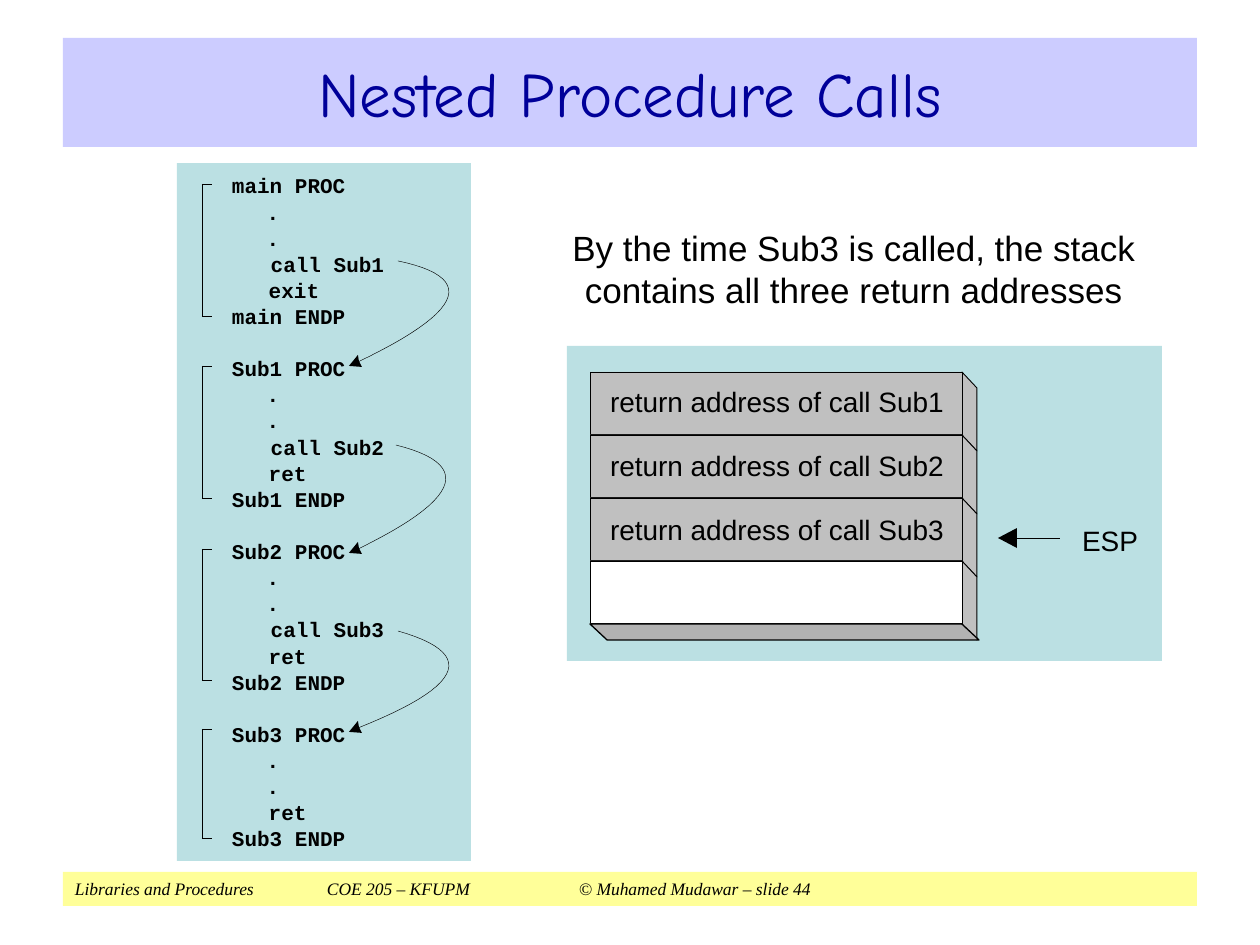
import lxml.etree
import pptx
import pptx.dml.color
import pptx.enum.shapes
import pptx.enum.text
import pptx.oxml.ns
import pptx.util
from dataclasses import dataclass

SCALE = 914400 / 126
KIND = pptx.enum.shapes.MSO_SHAPE
ALIGN = pptx.enum.text.PP_ALIGN
MIDDLE = pptx.enum.text.MSO_ANCHOR.MIDDLE


@dataclass(frozen=True)
class Theme:
    ink: str = "000000"
    white: str = "FFFFFF"
    navy: str = "000099"
    lilac: str = "CCCCFF"
    cream: str = "FFFF99"
    teal: str = "BBE0E3"
    gray: str = "C0C0C0"
    dark: str = "B2B2B2"
    thin: float = 0.25
    edge: float = 0.5
    bold: float = 0.75


THEME = Theme()
TITLE = dict(name="Comic Neue", size=36, color=THEME.navy)
BODY = dict(name="Arial", size=20)
LABEL = dict(name="Arial", size=16)
CODE = dict(name="Courier New", size=12, bold=True)
FOOT = dict(name="Times New Roman", size=10, italic=True)


def px(num):
    return pptx.util.Emu(round(num * SCALE))


def rgb(code):
    return pptx.dml.color.RGBColor.from_string(code)


def apply(item, vals):
    for key, val in vals.items():
        setattr(item, key, val)


def paint(shape, fill=None, width=None):
    shape.shadow.inherit = False
    if fill:
        shape.fill.solid()
        shape.fill.fore_color.rgb = rgb(fill)
    else:
        shape.fill.background()
    if width:
        shape.line.color.rgb = rgb(THEME.ink)
        shape.line.width = pptx.util.Pt(width)
    else:
        shape.line.fill.background()


def block(slide, area, fill, width=None, kind=KIND.RECTANGLE):
    shape = slide.shapes.add_shape(kind, *map(px, area))
    paint(shape, fill, width)
    return shape


def write(shape, text, style, pad=(0, 0), wrap=False, align=ALIGN.CENTER,
          anchor=pptx.enum.text.MSO_ANCHOR.TOP, tabs=()):
    side, rise = map(px, pad)
    frame = shape.text_frame
    apply(frame, dict(margin_left=side, margin_right=side, margin_top=rise,
                      margin_bottom=rise, word_wrap=wrap,
                      vertical_anchor=anchor))
    para = frame.paragraphs[0]
    para.alignment = align
    if tabs:
        qn = pptx.oxml.ns.qn
        stops = lxml.etree.SubElement(para._p.get_or_add_pPr(), qn("a:tabLst"))
        for stop in tabs:
            lxml.etree.SubElement(stops, qn("a:tab"), pos=str(px(stop)), algn="l")
    run = para.add_run()
    run.text = text
    look = {"color": THEME.ink, **style}
    run.font.color.rgb = rgb(look.pop("color"))
    look["size"] = pptx.util.Pt(look["size"])
    apply(run.font, look)


def label(slide, area, text, style, **form):
    write(slide.shapes.add_textbox(*map(px, area)), text, style, **form)


def line(slide, start, end, width):
    wire = slide.shapes.add_connector(
        pptx.enum.shapes.MSO_CONNECTOR.STRAIGHT, *map(px, start + end))
    wire.line.color.rgb = rgb(THEME.ink)
    wire.line.width = pptx.util.Pt(width)
    lxml.etree.SubElement(wire._element.spPr, pptx.oxml.ns.qn("a:effectLst"))


def outline(slide, dots, fill=None, width=None):
    first, *rest = [(px(x), px(y)) for x, y in dots]
    pen = slide.shapes.build_freeform(*first, scale=1.0)
    pen.add_line_segments(rest, close=bool(fill))
    paint(pen.convert_to_shape(), fill, width)


def bend(slide, start, pull, end, tip):
    steps = [n / 25 for n in range(26)]
    dots = [tuple((1 - t) ** 2 * a + 2 * t * (1 - t) * b + t * t * c
                  for a, b, c in zip(start, pull, end)) for t in steps]
    outline(slide, dots, width=THEME.thin)
    x, y = tip
    head = [(0, 0), (13, 1), (10, -5), (9, -11)]
    outline(slide, [(x + dx, y + dy) for dx, dy in head], fill=THEME.ink)


def brace(slide, top, low):
    line(slide, (202, top), (202, low), THEME.thin)
    for y in (top, low):
        line(slide, (202, y), (212, y), THEME.thin)


def code(slide):
    block(slide, (177, 163, 294, 698), THEME.teal)
    procs = [("main", "call Sub1", "exit"), ("Sub1", "call Sub2", "ret"),
             ("Sub2", "call Sub3", "ret"), ("Sub3", "ret")]
    row = 0
    for name, *body in procs:
        lines = [(232, f"{name} PROC"), (229, "   ."), (229, "   .")]
        lines += [(233 if "call" in text else 231, f"   {text}") for text in body]
        lines.append((232, f"{name} ENDP"))
        for left, text in lines:
            area = (left, 173 + row * 653 / 25, len(text) * 12.6, 25)
            label(slide, area, text, CODE)
            row += 1
        row += 1
    for start, pull, end, tip in [
        ((398, 261), (517, 286), (358, 362), (349, 366)),
        ((396, 445), (512, 474), (358, 549), (349, 553)),
        ((398, 631), (517, 665), (358, 728), (349, 732)),
    ]:
        bend(slide, start, pull, end, tip)
    for top, low in [(184, 316), (366, 498), (549, 680), (729, 838)]:
        brace(slide, top, low)


def stack(slide):
    block(slide, (567, 346, 595, 315), THEME.teal)
    left, top, wide, high = 590, 372, 372, 63
    right, deep, drop = left + wide, 15, 16
    for num in range(4):
        y = top + num * high
        side = [(right + deep, y + high + drop), (right, y + high),
                (right, y), (right + deep, y + drop)]
        outline(slide, side, THEME.gray, THEME.edge)
        fill = THEME.gray if num < 3 else THEME.white
        block(slide, (left, y, wide, high), fill, THEME.edge)
        if num < 3:
            label(slide, (605, 385 + 64 * num, 344, 34),
                  f"return address of call Sub{num + 1}", LABEL)
    base = block(slide, (left, top + 4 * high, 389, drop), THEME.dark,
                 THEME.bold, KIND.PARALLELOGRAM)
    base.adjustments[0] = 1.07
    base._element.spPr.xfrm.set("flipV", "1")
    line(slide, (1060, 538), (1014, 538), THEME.edge)
    outline(slide, [(1017, 528), (998, 538), (1017, 548)], fill=THEME.ink)
    label(slide, (1075, 524, 70, 34), "ESP", LABEL)


def main():
    deck = pptx.Presentation()
    apply(deck, dict(slide_width=px(1260), slide_height=px(945)))
    slide = deck.slides.add_slide(deck.slide_layouts[6])
    write(block(slide, (63, 872, 1134, 34), THEME.cream),
          "Libraries and Procedures\tCOE 205 – KFUPM\t© Muhamed Mudawar – slide 44",
          FOOT, pad=(12, 6), wrap=True, align=ALIGN.LEFT, tabs=(252, 504))
    write(block(slide, (63, 38, 1134, 109), THEME.lilac),
          "Nested Procedure Calls", TITLE, pad=(13, 6), wrap=True, anchor=MIDDLE)
    label(slide, (546, 208, 616, 122),
          "By the time Sub3 is called, the stack contains all three return addresses",
          BODY, pad=(13, 19), wrap=True)
    code(slide)
    stack(slide)
    deck.save("out.pptx")


if __name__ == "__main__":
    main()
